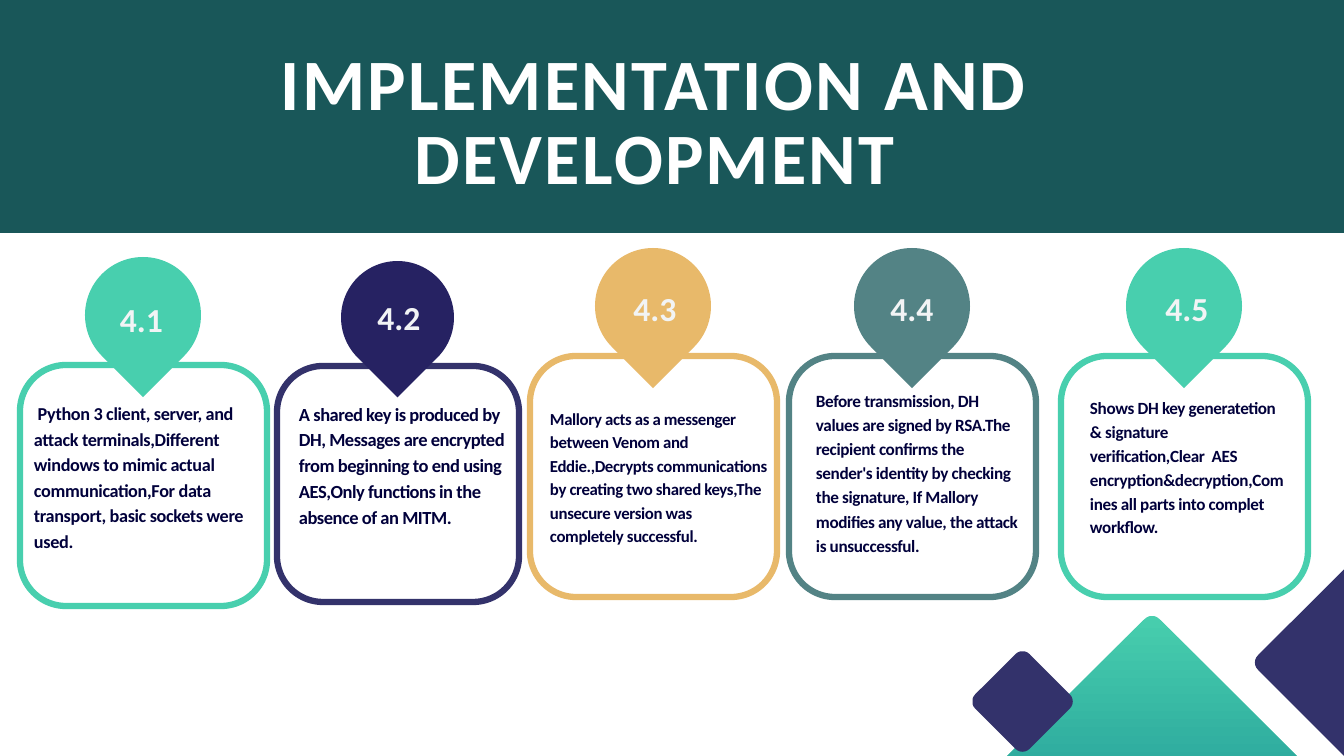
import dataclasses

import pptx
import pptx.dml.color
import pptx.enum.shapes
import pptx.enum.text
import pptx.util

PX = 914400 / 67.2  # EMU in one px
MSO = pptx.enum.shapes.MSO_SHAPE
ALIGN = pptx.enum.text.PP_ALIGN
FONT = "Calibri"
WHITE, INK, LABEL = "FFFFFF", "01003B", "F2F4F5"
GREEN, NAVY, INDIGO = "48CFAE", "33326B", "262262"
SAND, SLATE, TEAL, DEEP = "E8B96A", "538385", "195759", "006D83"
LINE_RATIO = 1.4
PIN_OVERLAP = 8  # how far the square of a pin reaches into its card
CARD_RADIUS, DIAMOND_RADIUS = 46, 10


@dataclasses.dataclass
class Box:
    x: int
    y: int
    w: int
    h: int


@dataclasses.dataclass
class Step:
    number: str
    text: str
    size: float
    tracking: float
    card: Box
    pin: int
    label: Box
    body: Box
    line: str
    fill: str


@dataclasses.dataclass
class Diamond:
    box: Box
    color: str
    end_color: str = ""


STEPS = [
    Step("4.1", " Python 3 client, server, and attack terminals,Different windows to mimic "
         "actual communication,For data transport, basic sockets were used.",
         19.5, -0.4, Box(20, 365, 247, 241), 116, Box(118, 292, 47, 45),
         Box(34, 399, 224, 173), GREEN, GREEN),
    Step("4.2", "A shared key is produced by DH, Messages are encrypted from beginning to "
         "end using AES,Only functions in the absence of an MITM.",
         19.8, -0.5, Box(277, 366, 242, 236), 113, Box(374, 290, 50, 45),
         Box(299, 399, 206, 175), NAVY, INDIGO),
    Step("4.3", "Mallory acts as a messenger between Venom and Eddie.,Decrypts "
         "communications by creating two shared keys,The unsecure version was "
         "completely successful.",
         18, -0.4, Box(530, 356, 247, 241), 116, Box(630, 281, 50, 45),
         Box(550, 405, 217, 164), SAND, SAND),
    Step("4.4", "Before transmission, DH values are signed by RSA.The recipient confirms "
         "the sender's identity by checking the signature, If Mallory modifies any "
         "value, the attack is unsuccessful.",
         18.4, -0.4, Box(789, 356, 247, 241), 116, Box(887, 281, 50, 45),
         Box(816, 387, 206, 192), SLATE, SLATE),
    Step("4.5", "Shows DH key generatetion & signature verification,Clear  AES "
         "encryption&decryption,Comines all parts into complet workflow.",
         18.3, -0.4, Box(1061, 356, 247, 241), 116, Box(1162, 281, 50, 45),
         Box(1090, 394, 194, 167), GREEN, GREEN),
]
DIAMONDS = [
    Diamond(Box(1287, 575, 175, 175), NAVY),
    Diamond(Box(1009, 671, 286, 286), GREEN, DEEP),
    Diamond(Box(984, 663, 77, 77), NAVY),
]


def px(n: float) -> int:
    return round(n * PX)


def rgb(color: str) -> pptx.dml.color.RGBColor:
    return pptx.dml.color.RGBColor.from_string(color)


def corners(box: Box) -> list[int]:
    return [px(n) for n in (box.x, box.y, box.w, box.h)]


def add_shape(s, kind, box: Box, fill: str, line: str = "", radius: int = 0, rotation: int = 0):
    sp = s.shapes.add_shape(kind, *corners(box))
    sp.shadow.inherit = False
    sp.rotation = rotation
    sp.fill.solid()
    sp.fill.fore_color.rgb = rgb(fill)
    if line:
        sp.line.color.rgb = rgb(line)
        sp.line.width = pptx.util.Pt(6.75)
    else:
        sp.line.fill.background()
    if radius:
        sp.adjustments[0] = radius / min(box.w, box.h)
    return sp


def write(sp, text: str, size: float, color: str, align=ALIGN.LEFT,
          tracking: float = 0, ratio: float = LINE_RATIO) -> None:
    tf = sp.text_frame
    frame = dict(margin_left=0, margin_top=0, margin_right=0, margin_bottom=0,
                 word_wrap=True, auto_size=pptx.enum.text.MSO_AUTO_SIZE.NONE,
                 vertical_anchor=pptx.enum.text.MSO_ANCHOR.TOP)
    for name, value in frame.items():
        setattr(tf, name, value)
    p = tf.paragraphs[0]
    p.alignment = align
    p.line_spacing = pptx.util.Pt(round(size * ratio, 1))
    p.space_before = pptx.util.Pt(0)
    r = p.add_run()
    r.text = text
    for name, value in dict(name=FONT, size=pptx.util.Pt(size), bold=True).items():
        setattr(r.font, name, value)
    r.font.color.rgb = rgb(color)
    if tracking:
        r.font._element.set("spc", str(round(tracking * 100)))


def add_text(s, box: Box, *args, **kwargs) -> None:
    write(s.shapes.add_textbox(*corners(box)), *args, **kwargs)


def add_title(s, text: str, box: Box) -> None:
    sp = s.shapes.title
    sp.left, sp.top, sp.width, sp.height = corners(box)
    write(sp, text, 77.5, WHITE, ALIGN.CENTER, tracking=2.5, ratio=1.03)
    s.shapes.element.append(sp.element)  # in front of the banner


def add_diamond(s, diamond: Diamond) -> None:
    sp = add_shape(s, MSO.ROUNDED_RECTANGLE, diamond.box, diamond.color,
                   radius=DIAMOND_RADIUS, rotation=45)
    if diamond.end_color:
        sp.fill.gradient()
        sp.fill.gradient_angle = 315  # runs straight down once the shape is turned
        for stop, color in zip(sp.fill.gradient_stops, (diamond.color, diamond.end_color)):
            stop.color.rgb = rgb(color)


def add_step(s, step: Step) -> None:
    card = step.card
    add_shape(s, MSO.ROUNDED_RECTANGLE, card, WHITE, step.line, CARD_RADIUS)
    pin = Box(card.x + (card.w - step.pin) // 2, card.y + PIN_OVERLAP - step.pin,
              step.pin, step.pin)
    add_shape(s, MSO.TEAR, pin, step.fill, rotation=135)
    add_text(s, step.body, step.text, step.size, INK, tracking=step.tracking)
    add_text(s, step.label, step.number, 36, LABEL, ALIGN.CENTER)


def main() -> None:
    prs = pptx.Presentation()
    prs.slide_width, prs.slide_height = px(1344), px(756)
    s = prs.slides.add_slide(prs.slide_layouts[5])

    # Banner and title
    add_shape(s, MSO.RECTANGLE, Box(0, 0, 1344, 233), TEAL)
    add_title(s, "IMPLEMENTATION AND DEVELOPMENT", Box(180, 50, 950, 152))

    # Corner decoration
    for diamond in DIAMONDS:
        add_diamond(s, diamond)

    # Numbered steps
    for step in STEPS:
        add_step(s, step)

    prs.save("out.pptx")


if __name__ == "__main__":
    main()
